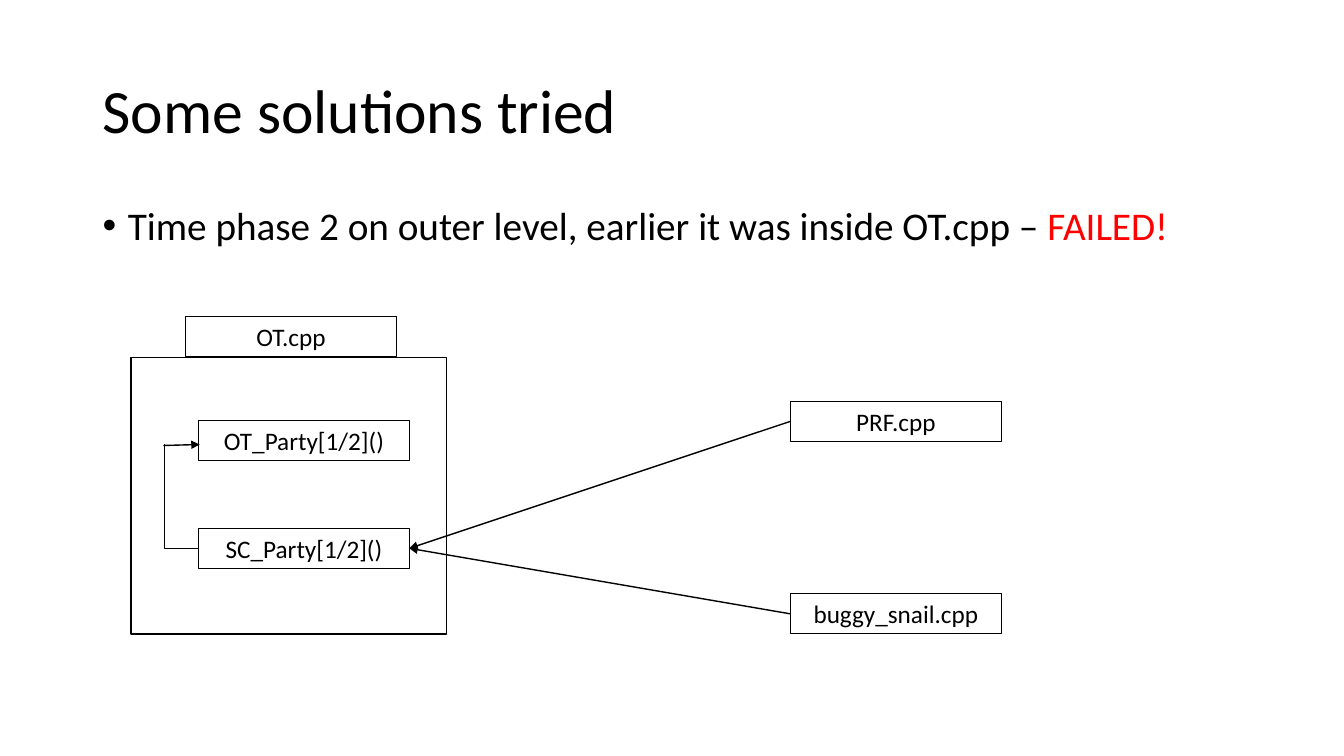
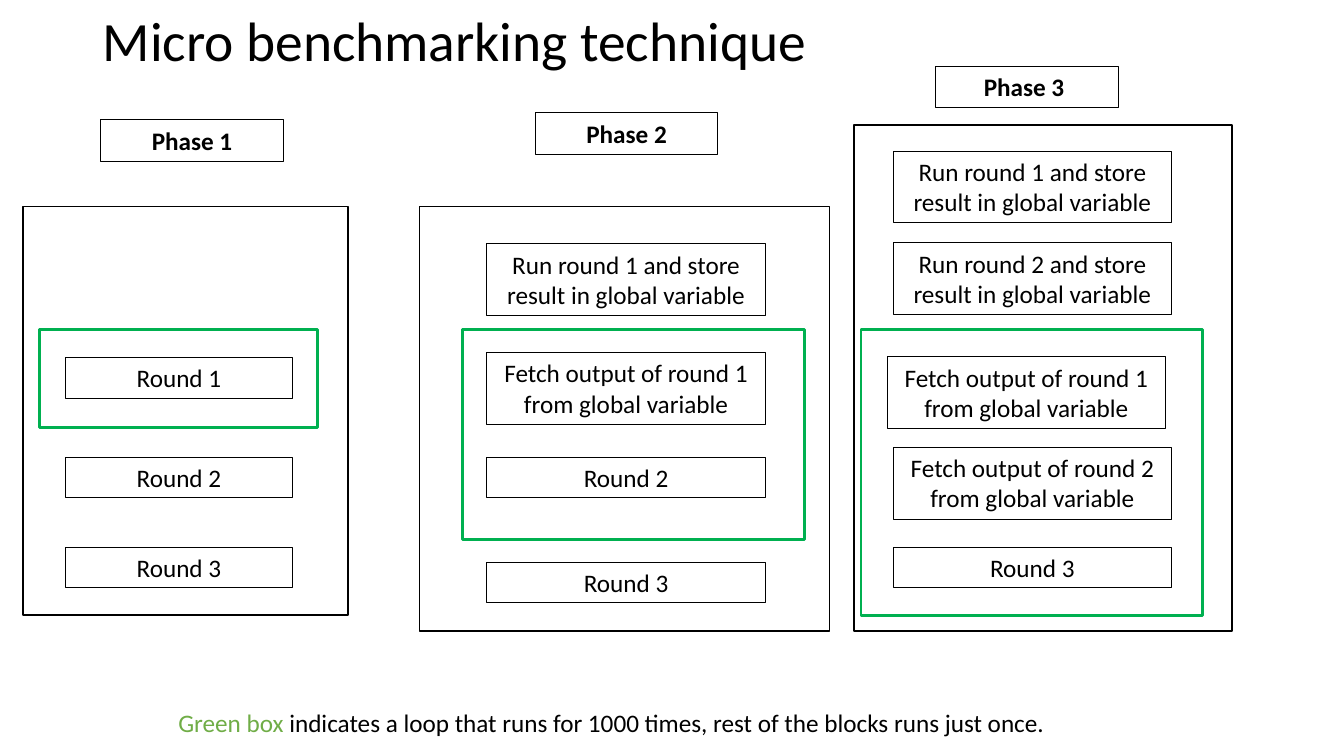
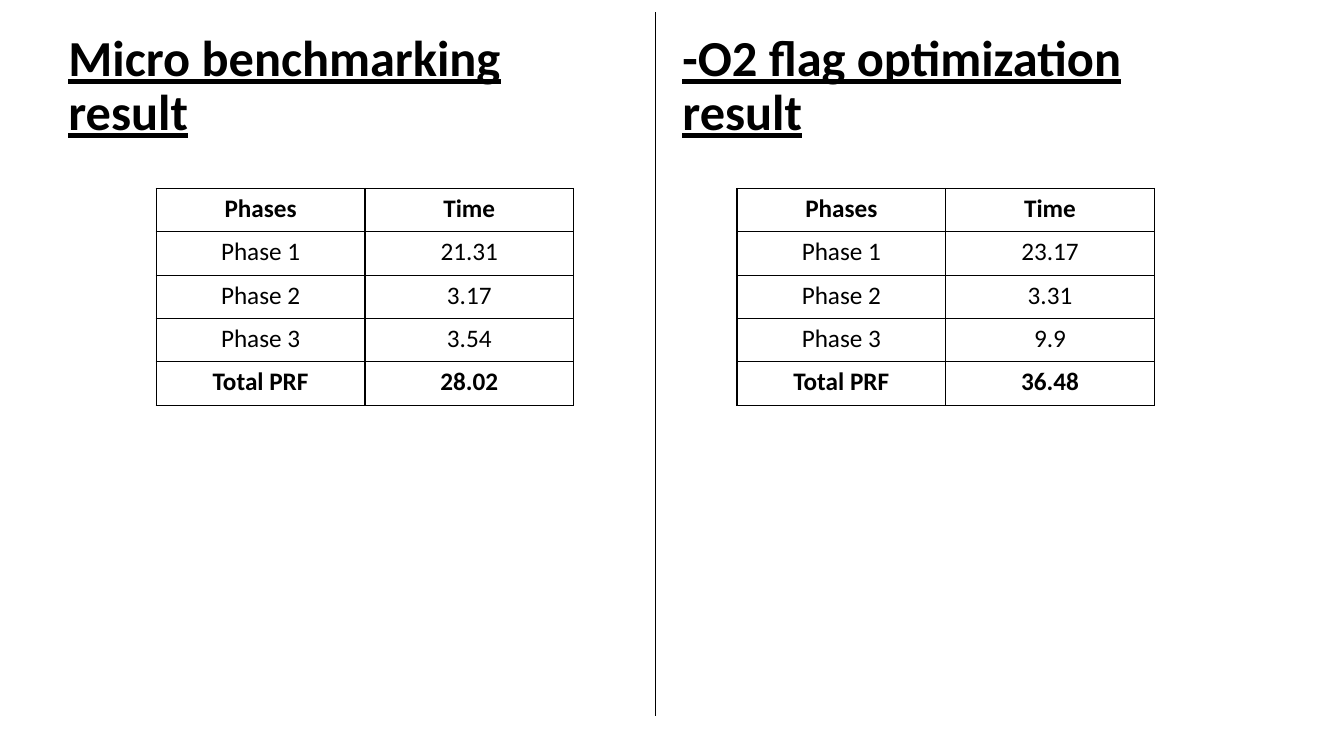
from lxml import etree
from pptx import Presentation
from pptx.dml.color import RGBColor
from pptx.enum.shapes import MSO_CONNECTOR as Connector, MSO_SHAPE as Shape
from pptx.enum.text import MSO_ANCHOR as Anchor, PP_ALIGN as Align
from pptx.oxml import parse_xml
from pptx.oxml.ns import nsdecls, qn
from pptx.util import Pt

PX = 9144  # 100 px to the inch
FONT = "Calibri"
BLACK = RGBColor(0x00, 0x00, 0x00)
WHITE = RGBColor(0xFF, 0xFF, 0xFF)
RED = RGBColor(0xFF, 0x00, 0x00)
LOOP_GREEN = RGBColor(0x00, 0xB0, 0x50)
LEGEND_GREEN = RGBColor(0x70, 0xAD, 0x47)
TITLE = {"anchor": Anchor.MIDDLE, "spacing": 0.9}
LABEL = {"line": BLACK, "align": Align.CENTER}
FRAME = {"line": BLACK, "line_width": 1, "fill": WHITE}
LOOP = {"line": LOOP_GREEN, "line_width": 2, "fill": WHITE}


def add_block(slide, bounds, pieces=(), size=18, bold=False, underline=False,
              align=Align.LEFT, anchor=Anchor.TOP, spacing=1.0,
              line=None, line_width=0.75, fill=None):
    """Add a text box, or a rectangle when a line colour is given."""
    bounds = [value * PX for value in bounds]
    if line is None:
        shape = slide.shapes.add_textbox(*bounds)
    else:
        shape = slide.shapes.add_shape(Shape.RECTANGLE, *bounds)
        shape.shadow.inherit = False
        shape.line.color.rgb = line
        shape.line.width = Pt(line_width)
        if fill is None:
            shape.fill.background()
        else:
            shape.fill.solid()
            shape.fill.fore_color.rgb = fill
    text_frame = shape.text_frame
    text_frame.word_wrap = True
    text_frame.vertical_anchor = anchor
    paragraph = text_frame.paragraphs[0]
    paragraph.alignment = align
    paragraph.line_spacing = spacing
    for text, colour in pieces:
        run = paragraph.add_run()
        run.text = text
        run.font.name = FONT
        run.font.size = Pt(size)
        run.font.bold = bold
        run.font.underline = underline
        run.font.color.rgb = colour
    return shape


def add_line(slide, start, end, kind=Connector.STRAIGHT, width=1, arrow=False):
    connector = slide.shapes.add_connector(
        kind, *[value * PX for value in (*start, *end)])
    connector.line.color.rgb = BLACK
    connector.line.width = Pt(width)
    if arrow:
        tail = etree.SubElement(connector.line._get_or_add_ln(), qn("a:tailEnd"))
        tail.set("type", "triangle")
    etree.SubElement(connector._element.spPr, qn("a:effectLst"))
    return connector


presentation = Presentation()
presentation.slide_width = 1333 * PX
presentation.slide_height = 750 * PX
blank = presentation.slide_layouts[6]

# Slide 1: solutions tried
slide = presentation.slides.add_slide(blank)
add_block(slide, (92, 40, 1150, 145), [("Some solutions tried", BLACK)], size=44, **TITLE)
bullet = add_block(
    slide, (92, 200, 1150, 83),
    [("Time phase 2 on outer level, earlier it was inside OT.cpp – ", BLACK), ("FAILED!", RED)],
    size=28, spacing=0.9)
paragraph = bullet.text_frame.paragraphs[0]
paragraph.space_before = Pt(10)
properties = paragraph._p.get_or_add_pPr()
properties.set("marL", str(25 * PX))
properties.set("indent", str(-25 * PX))
etree.SubElement(properties, qn("a:buFont")).set("typeface", "Arial")
etree.SubElement(properties, qn("a:buChar")).set("char", "•")

# Source files and functions
add_block(slide, (130, 355, 313, 274), **FRAME)
nodes = {}
for text, left, top in [
    ("PRF.cpp", 784, 398),
    ("buggy_snail.cpp", 784, 589),
    ("OT.cpp", 184, 314),
    ("OT_Party[1/2]()", 197, 417),
    ("SC_Party[1/2]()", 197, 524),
]:
    nodes[text] = add_block(slide, (left, top, 209, 40), [(text, BLACK)], **LABEL)

# Calls between them
for caller, middle in [("PRF.cpp", 418), ("buggy_snail.cpp", 609)]:
    call = add_line(slide, (784, middle), (406, 544), arrow=True)
    call.begin_connect(nodes[caller], 1)
    call.end_connect(nodes["SC_Party[1/2]()"], 3)
elbow = add_line(slide, (197, 544), (163, 441), kind=Connector.ELBOW)
elbow._element.spPr.find(qn("a:prstGeom")).set("prst", "bentConnector2")
add_line(slide, (162, 442), (198, 441), arrow=True)

# Slide 2: benchmarking technique
slide = presentation.slides.add_slide(blank)
add_block(slide, (92, 13, 763, 61), [("Micro benchmarking technique", BLACK)], size=39.6, **TITLE)

# Each phase: heading, frame, loop, then steps as (text, left, top)
store = "Run round {} and store result in global variable"
fetch = "Fetch output of round {} from global variable"
phases = [
    ("Phase 1", (100, 119), (23, 205, 322, 405), (39, 327, 276, 97), 225,
     [("Round 1", 65, 355), ("Round 2", 65, 454), ("Round 3", 65, 543)]),
    ("Phase 2", (531, 112), (416, 205, 407, 421), (459, 327, 339, 208), 276,
     [(store.format(1), 483, 242), (fetch.format(1), 483, 350),
      ("Round 2", 483, 454), ("Round 3", 483, 558)]),
    ("Phase 3 ", (928, 66), (847, 124, 375, 502), (854, 327, 339, 284), 276,
     [(store.format(1), 886, 150), (store.format(2), 886, 241),
      (fetch.format(1), 880, 354), (fetch.format(2), 886, 444), ("Round 3", 886, 543)]),
]
for heading, corner, frame, loop, step_width, steps in phases:
    add_block(slide, frame, **FRAME)
    add_block(slide, loop, **LOOP)
    add_block(slide, (*corner, 181, 41), [(heading, BLACK)], bold=True, **LABEL)
    for text, left, top in steps:
        height = 40 if text.startswith("Round") else 71
        add_block(slide, (left, top, step_width, height), [(text, BLACK)], **LABEL)

# Legend
add_block(slide, (167, 697, 900, 40), [
    ("Green box ", LEGEND_GREEN),
    ("indicates a loop that runs for 1000 times, rest of the blocks runs just once.", BLACK)])

# Slide 3: results side by side
slide = presentation.slides.add_slide(blank)
row_names = ["Phases", "Phase 1", "Phase 2", "Phase 3", "Total PRF"]
results = [
    ("Micro benchmarking result", 58, 155, ["Time", "21.31", "3.17", "3.54", "28.02"]),
    ("-O2 flag optimization result", 667, 731, ["Time", "23.17", "3.31", "9.9", "36.48"]),
]
for title, title_left, table_left, times in results:
    add_block(slide, (title_left, 40, 575, 93), [(title, BLACK)],
              size=36, bold=True, underline=True, **TITLE)
    table = slide.shapes.add_table(
        len(row_names), 2, table_left * PX, 187 * PX, 414 * PX, 215 * PX).table
    table.first_row = False
    table.horz_banding = False
    for row, texts in enumerate(zip(row_names, times)):
        for column, text in enumerate(texts):
            cell = table.cell(row, column)
            cell.text = text
            cell.fill.solid()
            cell.fill.fore_color.rgb = WHITE
            paragraph = cell.text_frame.paragraphs[0]
            paragraph.alignment = Align.CENTER
            font = paragraph.runs[0].font
            font.name = FONT
            font.size = Pt(18)
            font.bold = row in (0, len(row_names) - 1)
            font.color.rgb = BLACK
            for index, side in enumerate("LRTB"):
                border = parse_xml(
                    f'<a:ln{side} {nsdecls("a")} w="{Pt(1)}"><a:solidFill>'
                    f'<a:srgbClr val="{BLACK}"/></a:solidFill></a:ln{side}>')
                cell._tc.get_or_add_tcPr().insert(index, border)

# Divider
add_line(slide, (650, 12), (650, 710), width=0.5)

presentation.save("out.pptx")
